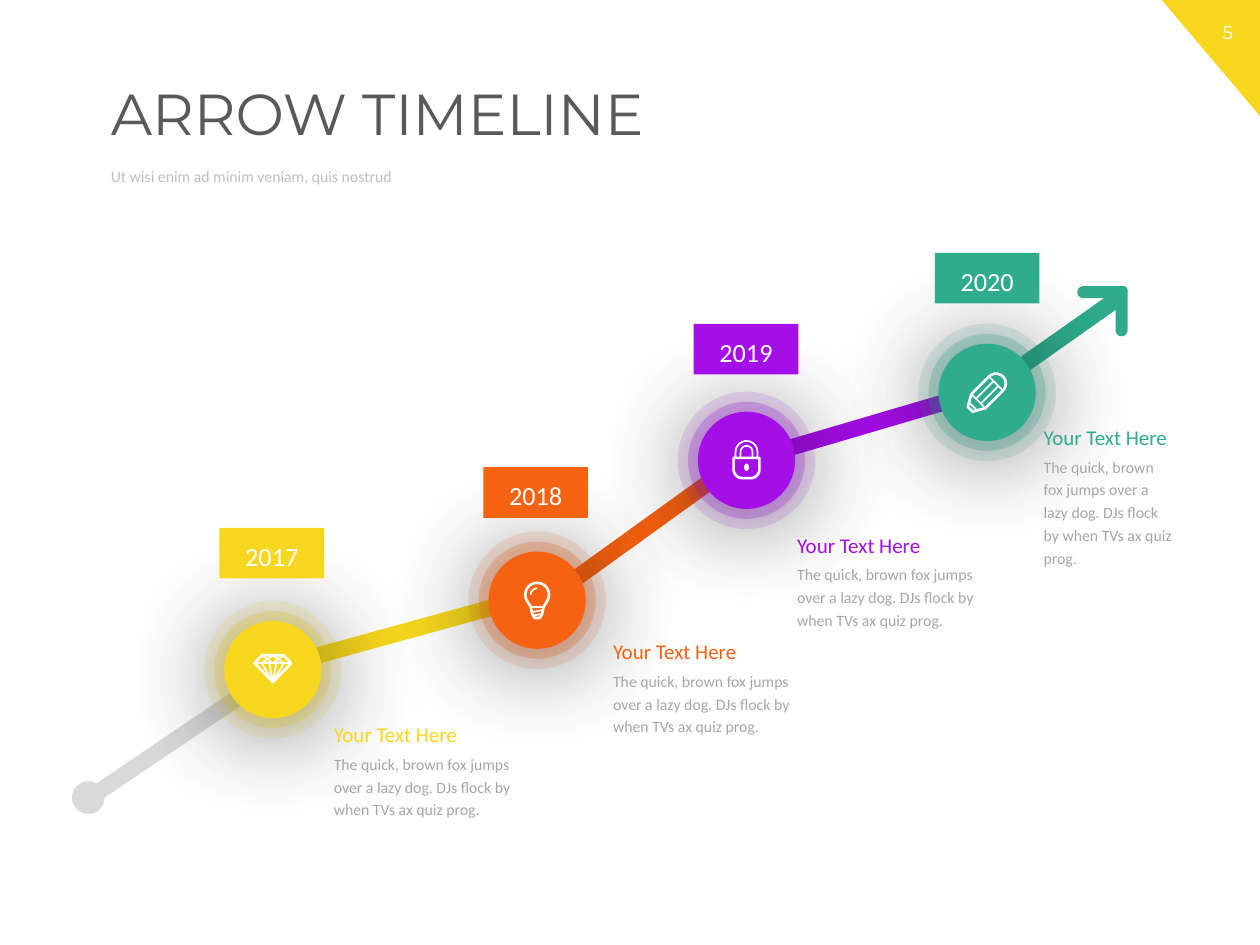
from math import cos, radians, sin, sqrt

from lxml import etree
from pptx import Presentation
from pptx import util as u
from pptx.dml.color import RGBColor
from pptx.enum import shapes, text
from pptx.oxml.ns import qn

HUES = {"gold": "F6D71E", "orange": "F56211", "purple": "A40FE7", "green": "2FAB8D",
        "pale": "D9D9D9", "white": "FFFFFF", "black": "000000",
        "title": "595959", "sub": "BFBFBF", "body": "A6A6A6"}
KIND = shapes.MSO_SHAPE
MID = text.PP_ALIGN.CENTER
BLURB = "The quick, brown fox jumps over a lazy dog. DJs flock by when TVs ax quiz prog."


def rgb(hue):
    return RGBColor.from_string(HUES[hue])


def put(shape, words, size=9, hue="body", font="Calibri", align=text.PP_ALIGN.LEFT,
        space=1.2, anchor=text.MSO_ANCHOR.TOP, fit=text.MSO_AUTO_SIZE.SHAPE_TO_FIT_TEXT):
    """Fill a shape with one formatted paragraph."""
    frame = shape.text_frame
    frame.word_wrap, frame.vertical_anchor, frame.auto_size = True, anchor, fit
    para = frame.paragraphs[0]
    para.alignment, para.line_spacing = align, space
    run = para.add_run()
    run.text = words
    run.font.size, run.font.name, run.font.bold = u.Pt(size), font, False
    run.font.color.rgb = rgb(hue)


def arc(x, y, r, start, end, steps=16):
    """Points on an arc; angles run clockwise from the right."""
    turns = [radians(start + (end - start) * i / steps) for i in range(steps + 1)]
    return [(x + r * cos(a), y + r * sin(a)) for a in turns]


def tilt(points):
    """Turn points 45 degrees anticlockwise."""
    return [((x + y) / sqrt(2), (y - x) / sqrt(2)) for x, y in points]


class Deck:
    def __init__(self):
        self.file = Presentation()
        self.file.slide_width, self.file.slide_height = u.Cm(25.4), u.Cm(19.05)
        self.slide = self.file.slides.add_slide(self.file.slide_layouts[2])
        self.all = self.slide.shapes

    def hold(self, index, box, words, **style):
        """Move and fill a placeholder."""
        shape = self.slide.placeholders[index]
        shape.left, shape.top, shape.width, shape.height = map(u.Cm, box)
        put(shape, words, space=0.9, fit=text.MSO_AUTO_SIZE.NONE, **style)

    def note(self, x, y, w, h, words, **style):
        put(self.all.add_textbox(u.Cm(x), u.Cm(y), u.Cm(w), u.Cm(h)), words, **style)

    def form(self, kind, x, y, w, h, hue, turn=0, home=None):
        """Add a flat preset shape centred on x, y."""
        shape = (home or self.all).add_shape(
            kind, u.Cm(x - w / 2), u.Cm(y - h / 2), u.Cm(w), u.Cm(h))
        shape.rotation = turn
        shape.fill.solid()
        shape.fill.fore_color.rgb = rgb(hue)
        shape.line.fill.background()
        shape.shadow.inherit = False
        return shape

    def node(self, x, y, hue):
        """Add a disc with two clear rings, each with a soft shadow."""
        home = self.all.add_group_shape().shapes
        for size, clear, blur in ((2.77, 13, 49), (2.36, 25, 49), (1.96, 100, 64)):
            ring = self.form(KIND.OVAL, x, y, size, size, hue, home=home)
            props = ring._element.spPr
            if clear < 100:
                tint = props.find(qn("a:solidFill")).find(qn("a:srgbClr"))
                etree.SubElement(tint, qn("a:alpha"), val=str(clear * 1000))
            glow = etree.SubElement(
                props.find(qn("a:effectLst")), qn("a:outerShdw"), blurRad=str(u.Pt(blur)),
                dist=str(u.Pt(4)), dir="5400000", algn="t", rotWithShape="0")
            shade = etree.SubElement(glow, qn("a:srgbClr"), val=HUES["black"])
            etree.SubElement(shade, qn("a:alpha"), val="43000")

    def draw(self, lines, x=0, y=0, hue="white", pen=0, close=True):
        """Add a freeform: filled if pen is 0, else stroked."""
        lines = [[((x + a) * 1000, (y + b) * 1000) for a, b in line] for line in lines]
        build = self.all.build_freeform(*lines[0][0], scale=u.Cm(0.001))
        for line in lines:
            build.move_to(*line[0])
            build.add_line_segments(line[1:], close=close)
        shape = build.convert_to_shape()
        shape.shadow.inherit = False
        if pen:
            shape.fill.background()
            shape.line.color.rgb, shape.line.width = rgb(hue), u.Pt(pen)
        else:
            shape.fill.solid()
            shape.fill.fore_color.rgb = rgb(hue)
            shape.line.fill.background()


# Icons: outline and inner lines, in cm from the disc's centre
GEM = ([(-.22, -.29), (.22, -.29), (.37, -.13), (0, .25), (-.37, -.13)],
       [[(-.37, -.13), (.37, -.13)],
        [(-.22, -.13), (0, .25), (.22, -.13), (0, -.29), (-.22, -.13)],
        [(-.07, -.13), (0, .25), (.07, -.13)],
        [(-.22, -.29), (0, -.13), (.22, -.29)]])
BULB = (arc(0, -.11, .24, 150, 390) + [(.13, .13), (.1, .28), (.05, .36), (-.05, .36),
                                       (-.1, .28), (-.13, .13)],
        [[(-.13, .13), (.13, .13)], [(-.11, .24), (.11, .2)], [(-.08, .31), (.08, .28)],
         arc(0, -.11, .13, 180, 270)])
LOCK = ([(-.26, -.05), (.26, -.05)] + arc(.08, .18, .18, 0, 90) + arc(-.08, .18, .18, 90, 180),
        [[(-r, -.05)] + arc(0, -.17, r, 180, 360) + [(r, -.05)] for r in (.22, .12)])
PEN = (tilt(arc(.25, 0, .2, -90, 90) + [(-.25, .2), (-.48, .07), (-.48, -.07), (-.25, -.2)]),
       [tilt(line) for line in (
           [(-.25, .07), (.25, .07)], [(-.25, -.07), (.25, -.07)], [(.25, -.2), (.25, .2)],
           [(-.25, -.2), (-.25, .2)], [(-.4, -.1), (-.4, .1)])])

# Steps: year, hue, disc centre, label centre, text corner, text widths, text height, icon
STEPS = [
    ("2017", "gold", (5.5, 13.5), (5.48, 11.15), (6.48, 14.32), (4.04, 4.42), 1.65, GEM),
    ("2018", "orange", (10.83, 12.1), (10.8, 9.93), (12.11, 12.65), (4.04, 4.42), 1.65, BULB),
    ("2019", "purple", (15.05, 9.28), (15.04, 7.04), (15.82, 10.5), (4.04, 4.42), 1.65, LOCK),
    ("2020", "green", (19.9, 7.91), (19.9, 5.61), (20.79, 8.33), (3.15, 3.15), 2.57, PEN),
]
# Bars: centre, length, turn, hue
BARS = [(16.97, 8.72, 4.37, 343.6, "purple"), (12.9, 10.73, 4.37, 324.2, "orange"),
        (8.13, 12.74, 4.37, 344.6, "gold"), (3.71, 14.8, 4.37, 325.9, "pale"),
        (21.07, 7.05, 3.73, 324.8, "green")]


def main():
    deck = Deck()

    # Corner, page number and headings
    deck.form(KIND.RIGHT_TRIANGLE, 24.41, 1.17, 1.98, 2.34, "gold", turn=180)
    deck.note(24.1, 0.3, 1.3, 0.71, "5", size=10.5, hue="white", font="Montserrat",
              align=MID, space=1)
    deck.hold(0, (1.98, 1.6, 22.5, 1.85), "ARROW TIMELINE", size=33, hue="title",
              font="Montserrat")
    deck.hold(1, (1.98, 3.25, 18.31, 0.66), "Ut wisi enim ad minim veniam, quis nostrud",
              hue="sub", anchor=text.MSO_ANCHOR.MIDDLE)

    # Arrow
    for x, y, size, turn, hue in BARS:
        deck.form(KIND.RECTANGLE, x, y, size, 0.33, hue, turn)
    deck.form(KIND.OVAL, 1.78, 16.08, 0.66, 0.66, "pale")
    deck.draw([arc(21.84, 5.89, .12, 90, 270) + arc(22.65, 5.85, .08, 270, 360)
               + arc(22.61, 6.66, .12, 0, 180) + [(22.49, 6.01)]], hue="green")

    # Discs lie below all text
    for _, hue, disc, *_ in STEPS:
        deck.node(*disc, hue)

    # Labels, texts and icons
    for year, hue, disc, label, (x, y), (head, wide), high, (edge, inner) in STEPS:
        put(deck.form(KIND.RECTANGLE, *label, 2.11, 1.02, hue), year, size=15,
            hue="white", align=MID)
        deck.note(x, y, head, 0.84, "Your Text Here", size=12, hue=hue)
        deck.note(x, y + 0.69, wide, high, BLURB)
        deck.draw([edge], *disc, pen=1.5)
        deck.draw(inner, *disc, pen=1, close=False)
    x, y = STEPS[2][2]
    deck.form(KIND.OVAL, x, y + 0.14, 0.1, 0.15, "white")

    deck.file.save("out.pptx")


if __name__ == "__main__":
    main()
